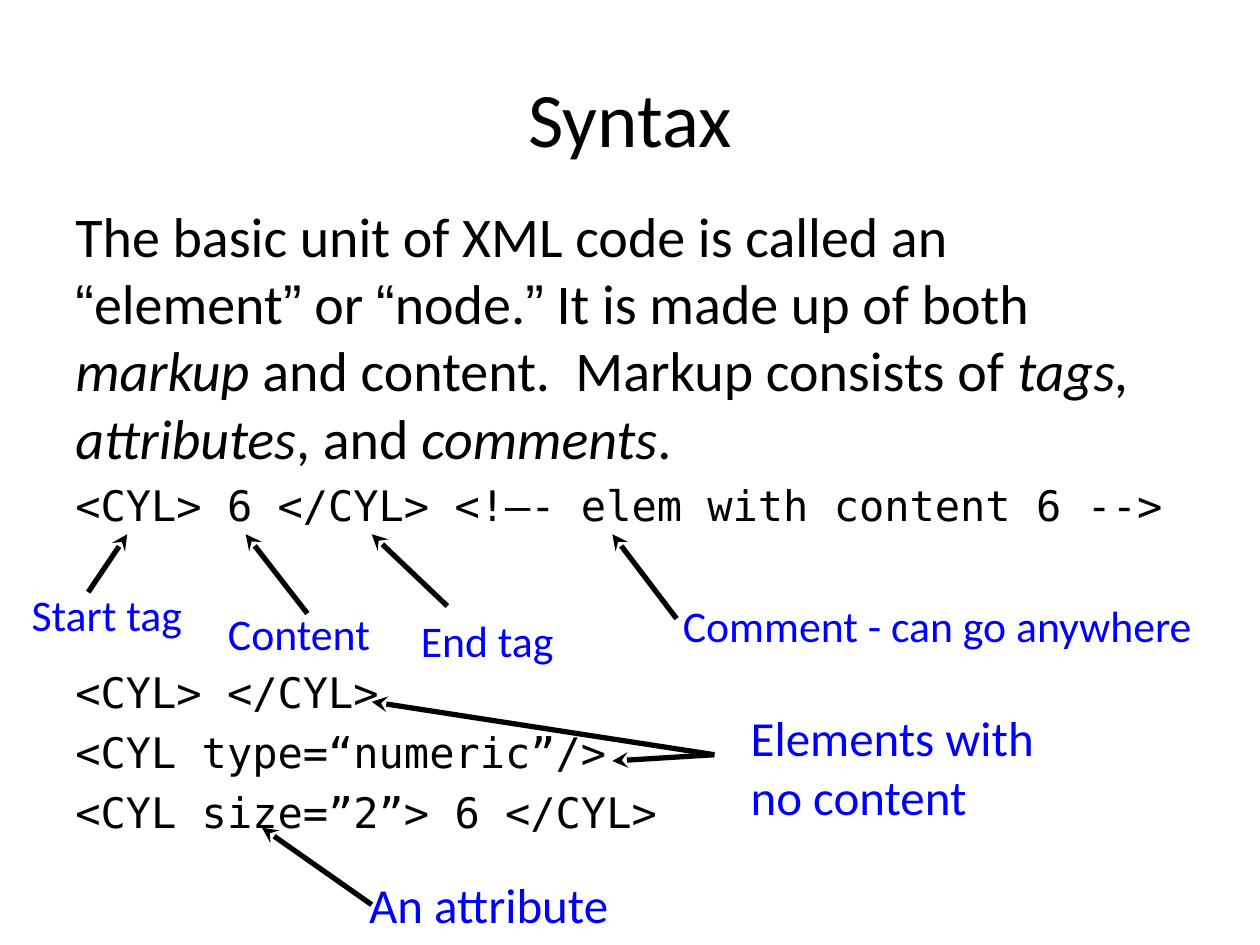
"""Build the XML syntax slide: explanation, code samples and annotated arrows."""
from pptx import Presentation
from pptx.dml.color import RGBColor
from pptx.enum.shapes import MSO_CONNECTOR
from pptx.enum.text import MSO_ANCHOR, PP_ALIGN
from pptx.oxml.ns import qn
from pptx.util import Inches, Pt
from lxml import etree

STRAIGHT = MSO_CONNECTOR.STRAIGHT
TOP, MIDDLE = MSO_ANCHOR.TOP, MSO_ANCHOR.MIDDLE
CENTER = PP_ALIGN.CENTER
BLACK = RGBColor(0, 0, 0)
BLUE = RGBColor(0, 0, 255)
SANS, QUOTE, MONO = "Calibri", "Arial", "DejaVu Sans Mono"

TITLE = "Syntax"
INTRO = [
    ("The basic unit of XML code is called an ", SANS, False),
    ("“", QUOTE, False),
    ("element", SANS, False),
    ("”", QUOTE, False),
    (" or ", SANS, False),
    ("“", QUOTE, False),
    ("node.", SANS, False),
    ("”", QUOTE, False),
    (" It is made up of both ", SANS, False),
    ("markup", SANS, True),
    (" and content.  Markup consists of ", SANS, False),
    ("tags, attributes", SANS, True),
    (", and ", SANS, False),
    ("comments", SANS, True),
    (".", SANS, False),
]
CODE_GAP, LABEL_GAP = 5.5, 77.8
CODE = [
    ("<CYL> 6 </CYL> <!–- elem with content 6 -->", CODE_GAP),
    ("<CYL> </CYL>", LABEL_GAP),
    ("<CYL type=“numeric”/>", CODE_GAP),
    ("<CYL size=”2”> 6 </CYL>", CODE_GAP),
]
LABELS = [
    ("Start tag", 25, (0.25, 4.66, 1.21, 0.42)),
    ("End tag", 25, (3.34, 4.87, 1.07, 0.42)),
    ("Content", 25, (1.81, 4.81, 1.14, 0.42)),
    ("Comment - can go anywhere", 25, (5.42, 4.75, 4.08, 0.42)),
    ("An attribute", 28, (2.93, 6.94, 1.92, 0.47)),
]
NO_CONTENT = ("Elements with no content", 28, (5.86, 5.57, 2.8, 1.04))
ARROWS = [
    ((1.01, 4.24), (0.7, 4.7)),
    ((2.95, 4.24), (3.55, 4.81)),
    ((1.95, 4.24), (2.44, 4.87)),
    ((4.86, 4.24), (5.37, 4.91)),
    ((2.08, 6.57), (2.95, 7.18)),
    ((2.95, 5.57), (5.67, 5.99)),
    ((4.86, 6.04), (5.67, 5.99)),
]


def add_box(slide, box, anchor=TOP, wrap=True):
    tf = slide.shapes.add_textbox(*map(Inches, box)).text_frame
    tf.word_wrap = wrap
    tf.vertical_anchor = anchor
    return tf


def add_run(p, text, size, font=SANS, color=BLACK, italic=False):
    r = p.add_run()
    r.text = text
    r.font.size = Pt(size)
    r.font.name = font
    r.font.color.rgb = color
    r.font.italic = italic


def add_label(slide, text, size, box):
    tf = add_box(slide, box, MIDDLE, wrap=False)
    tf.margin_left = tf.margin_right = tf.margin_top = tf.margin_bottom = 0
    add_run(tf.paragraphs[0], text, size, color=BLUE)


def add_arrow(slide, target, start):
    ends = map(Inches, target + start)
    line = slide.shapes.add_connector(STRAIGHT, *ends)
    line.line.color.rgb = BLACK
    line.line.width = Pt(3)
    ln = line.line._get_or_add_ln()
    etree.SubElement(ln, qn("a:headEnd"), type="stealth")
    etree.SubElement(line._element.spPr, qn("a:effectLst"))


def main():
    prs = Presentation()
    prs.slide_width, prs.slide_height = Inches(10), Inches(7.5)
    slide = prs.slides.add_slide(prs.slide_layouts[6])

    p = add_box(slide, (0.5, 0.3, 9, 1.25), MIDDLE).paragraphs[0]
    p.alignment = CENTER
    add_run(p, TITLE, 44)

    tf = add_box(slide, (0.5, 1.55, 9, 5.63))
    for text, font, italic in INTRO:
        add_run(tf.paragraphs[0], text, 32, font, italic=italic)
    for text, gap in CODE:
        p = tf.add_paragraph()
        p.space_before = Pt(gap)
        add_run(p, text, 24, MONO)

    for label in LABELS:
        add_label(slide, *label)
    text, size, box = NO_CONTENT
    add_run(add_box(slide, box).paragraphs[0], text, size, color=BLUE)
    for target, start in ARROWS:
        add_arrow(slide, target, start)

    prs.save("out.pptx")


if __name__ == "__main__":
    main()
